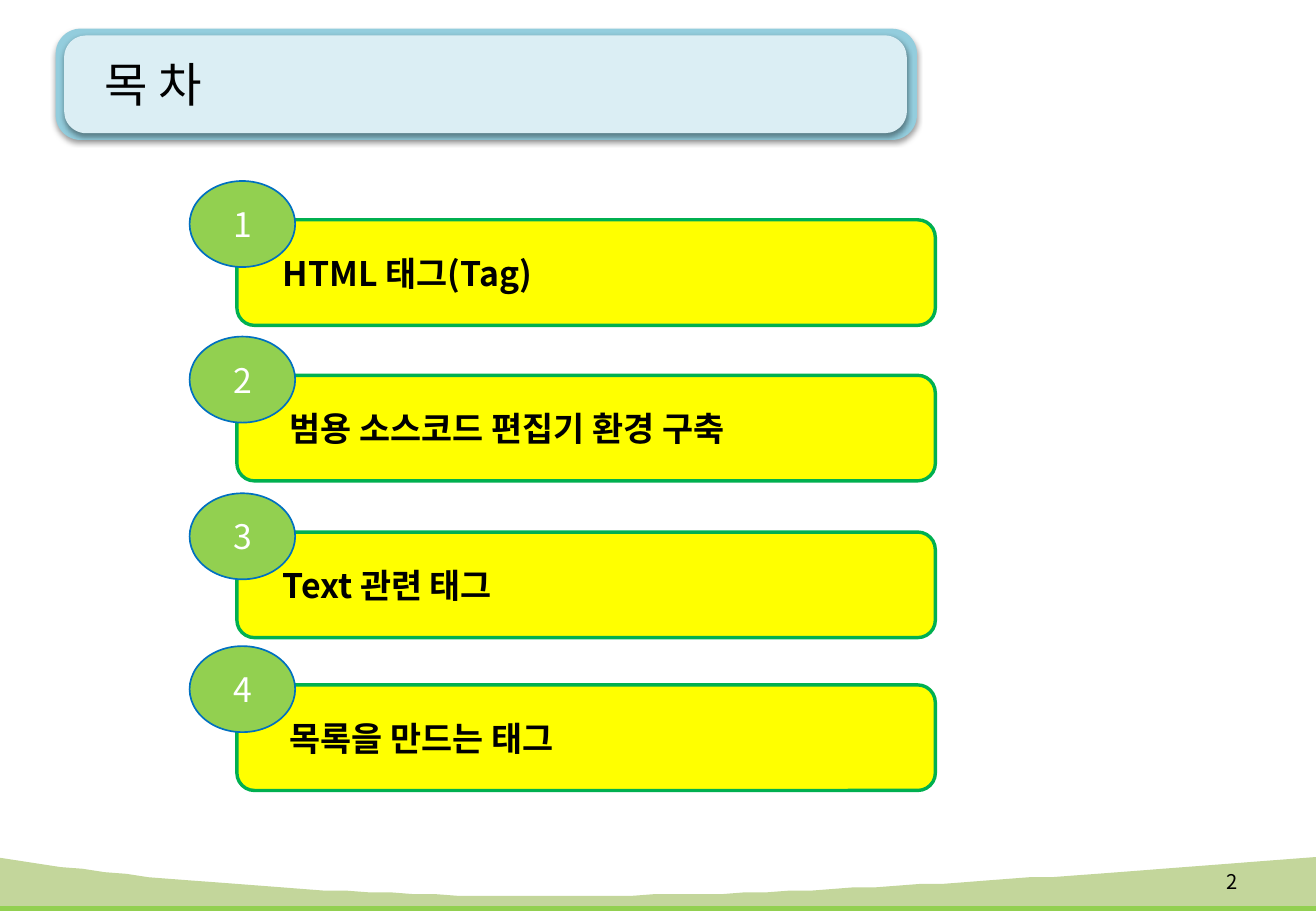
from lxml import etree
from pptx import Presentation
from pptx.dml.color import RGBColor
from pptx.enum import shapes, text
from pptx.oxml.ns import qn
from pptx.util import Pt

FONT = "Noto Sans CJK KR"
BLACK = RGBColor(0, 0, 0)
WHITE = RGBColor(0xFF, 0xFF, 0xFF)
LIME = RGBColor(0x92, 0xD0, 0x50)
SAGE = RGBColor(0xC3, 0xD6, 0x9B)
TEAL = RGBColor(0x93, 0xCD, 0xDD)
PALE = RGBColor(0xDB, 0xEE, 0xF4)
YELLOW = RGBColor(0xFF, 0xFF, 0)
GREEN = RGBColor(0, 0xB0, 0x50)
BLUE = RGBColor(0, 0x70, 0xC0)
ROUND = shapes.MSO_SHAPE.ROUNDED_RECTANGLE
OVAL = shapes.MSO_SHAPE.OVAL
LEFT, MID, RIGHT = text.PP_ALIGN.LEFT, text.PP_ALIGN.CENTER, text.PP_ALIGN.RIGHT

# Top, indent and wording of each row
ROWS = [
    (130.3, 17, "HTML 태그(Tag)"),
    (222.5, 21, "범용 소스코드 편집기 환경 구축"),
    (315.4, 17, "Text 관련 태그"),
    (406, 21, "목록을 만드는 태그"),
]


def paint(shape, fill, line=None, width=0):
    shape.shadow.inherit = False
    shape.fill.solid()
    shape.fill.fore_color.rgb = fill
    if line is None:
        shape.line.fill.background()
    else:
        shape.line.color.rgb = line
        shape.line.width = Pt(width)


def write(shape, words, size, color=BLACK, align=LEFT, bold=False, indent=0):
    frame = shape.text_frame
    frame.text = words
    frame.word_wrap = True
    frame.auto_size = text.MSO_AUTO_SIZE.NONE
    frame.vertical_anchor = text.MSO_ANCHOR.MIDDLE
    frame.margin_left = Pt(7.2 + indent)
    para = frame.paragraphs[0]
    para.alignment = align
    run = para.runs[0]
    font = run.font
    font.size, font.bold, font.name = Pt(size), bold, FONT
    font.color.rgb = color
    etree.SubElement(font._element, qn("a:ea"), typeface=FONT)


def block(slide, kind, box, fill, line=None, width=0):
    shape = slide.shapes.add_shape(kind, *map(Pt, box))
    paint(shape, fill, line, width)
    return shape


def shade(shape):
    effects = shape._element.spPr.find(qn("a:effectLst"))
    outer = etree.SubElement(effects, qn("a:outerShdw"), blurRad=str(Pt(3.1)),
                             dist=str(Pt(1.6)), dir="5400000", rotWithShape="0")
    color = etree.SubElement(outer, qn("a:srgbClr"), val="000000")
    etree.SubElement(color, qn("a:alpha"), val="38000")


def wave(slide, box, dips, fill):
    """Band whose top edge is a cubic curve, sagging by dips at its handles."""
    x, y, w, h = box
    steps = 60
    curve = []
    for i in range(steps + 1):
        t = i / steps
        sag = 3 * t * (1 - t) * ((1 - t) * dips[0] + t * dips[1])
        curve.append((x + w * t, y + sag))
    path = slide.shapes.build_freeform(*curve[0], scale=Pt(1))
    path.add_line_segments(curve[1:] + [(x + w, y + h), (x, y + h)], close=True)
    paint(path.convert_to_shape(), fill)


def footer(slide, box):
    x, y, w, h = box
    wave(slide, (x, y + 13, w, h - 13), (26, 14), LIME)
    wave(slide, (x, y, w, h - 3), (40, 20), SAGE)
    # Page number
    page = slide.shapes.add_textbox(Pt(x + 700), Pt(y), Pt(44), Pt(29))
    write(page, "2", 12, align=RIGHT)


def header(slide, box):
    x, y, w, h = box
    # Outer frame and inner panel
    for part, fill in ((box, TEAL), ((x + 5, y + 4, w - 11, h - 8), PALE)):
        panel = block(slide, ROUND, part, fill)
        panel.adjustments[0] = 0.225
        shade(panel)
    # Title, brought in front of the panels
    title = slide.shapes.title
    title.left, title.top = Pt(x), Pt(y - 1)
    title.width, title.height = Pt(w - 5), Pt(h + 1)
    write(title, "목 차", 28, indent=22)
    slide.shapes._spTree.append(title._element)


def entry(slide, box, number, words, indent):
    x, y, w, h = box
    bar = block(slide, ROUND, box, YELLOW, GREEN, 2)
    write(bar, words, 20, bold=True, indent=indent)
    badge = block(slide, OVAL, (x - 28, y - 23, 62.6, 51), LIME, BLUE, 1)
    write(badge, str(number), 20, WHITE, MID)


def main():
    deck = Presentation()
    deck.slide_width, deck.slide_height = Pt(780), Pt(540)
    slide = deck.slides.add_slide(deck.slide_layouts[5])
    footer(slide, (-3, 508, 783, 32))
    header(slide, (33, 17, 510.5, 66))
    for number, (top, indent, words) in enumerate(ROWS, 1):
        entry(slide, (140.4, top, 414, 62.6), number, words, indent)
    deck.save("out.pptx")


if __name__ == "__main__":
    main()
